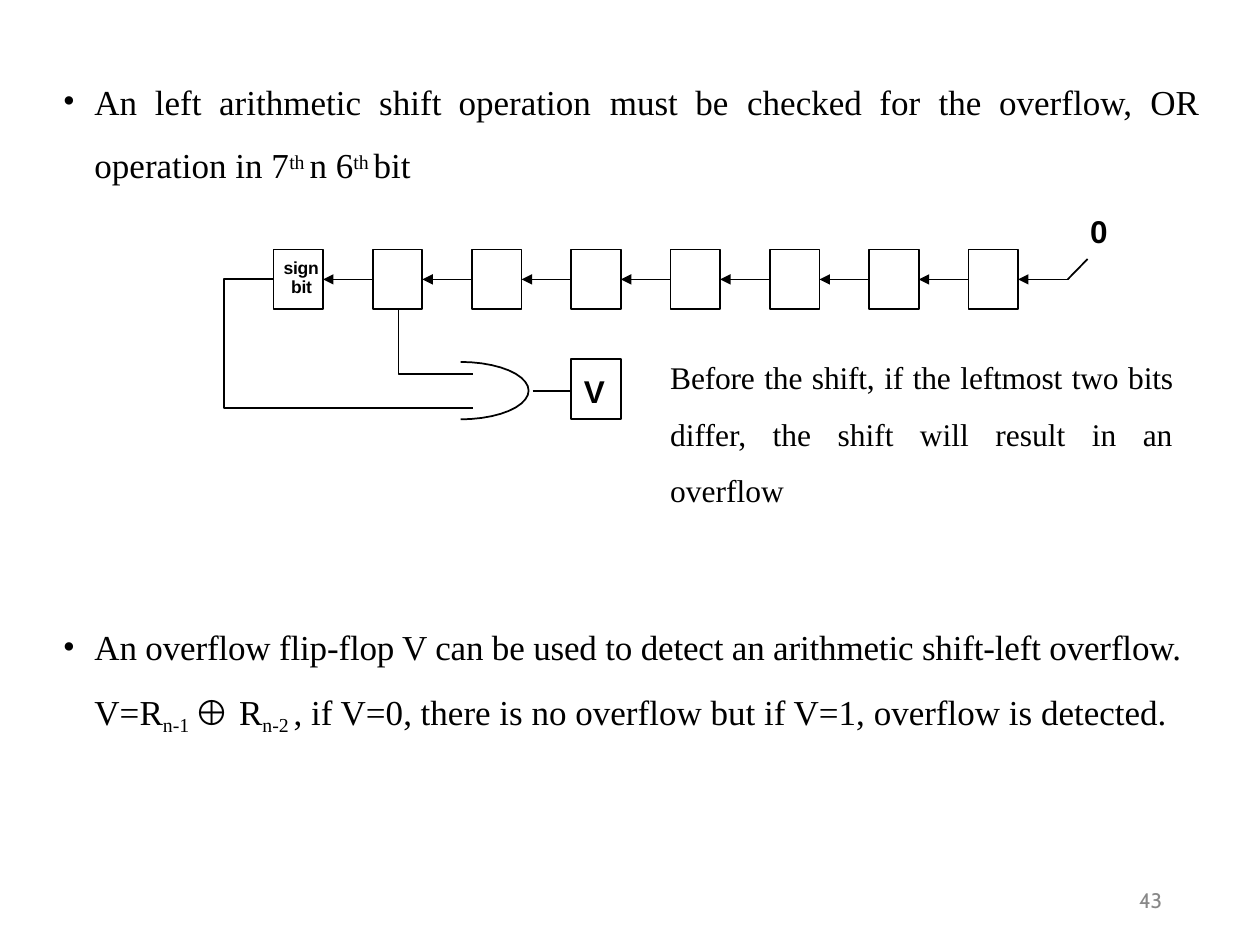
from math import cos, pi, sin

from lxml.etree import SubElement
from pptx import Presentation
from pptx.dml.color import RGBColor
from pptx.enum.shapes import MSO_CONNECTOR, MSO_SHAPE
from pptx.enum.text import MSO_ANCHOR, PP_ALIGN
from pptx.oxml.ns import qn
from pptx.util import Inches, Pt

BLACK = RGBColor(0x00, 0x00, 0x00)
GRAY = RGBColor(0x88, 0x88, 0x88)
SERIF, SANS, NUMBER_FONT = "Times New Roman", "Arial", "Cabin"
COL, ROW = 0.394, 0.475  # one register cell; cells start every second column
CELLS = 8
WORD_TABS = [0.79, 1.3, 2.57, 3.2, 4.4, 5.08, 5.49, 6.54, 7.01, 7.49, 8.69]


def set_frame(s, inset):
    tf = s.text_frame
    tf.word_wrap = True
    tf.vertical_anchor = MSO_ANCHOR.TOP
    tf.margin_left = tf.margin_right = tf.margin_bottom = 0
    tf.margin_top = Inches(inset)
    return tf


def add_text_box(slide, box, inset=0.01):
    return set_frame(slide.shapes.add_textbox(*map(Inches, box)), inset)


def add_run(p, text, size=20, font=SERIF, color=BLACK, bold=False, baseline=0, spacing=0):
    """Baseline is a percentage, spacing is in points."""
    r = p.add_run()
    r.text = text
    r.font.size = Pt(size)
    r.font.name = font
    r.font.bold = bold
    r.font.color.rgb = color
    if baseline:
        r.font._element.set("baseline", str(baseline * 1000))
    if spacing:
        r.font._element.set("spc", str(round(spacing * 100)))


def set_indent(p, left=0, first=0, right=0):
    pPr = p._p.get_or_add_pPr()
    for name, value in (("marL", left), ("marR", right), ("indent", first)):
        pPr.set(name, str(Inches(value)))
    return pPr


def make_bullet(p, left, tabs=()):
    pPr = set_indent(p, left, -0.25)
    SubElement(pPr, qn("a:buFont"), typeface=SERIF)
    SubElement(pPr, qn("a:buChar"), char="•")
    if tabs:
        tab_list = SubElement(pPr, qn("a:tabLst"))
        for pos in tabs:
            SubElement(tab_list, qn("a:tab"), pos=str(Inches(pos)), algn="l")
    p.line_spacing = 1.5


def style_line(s):
    s.line.color.rgb = BLACK
    s.line.width = Pt(1)


def add_overflow_check(slide, box):
    tf = add_text_box(slide, box)
    p = tf.paragraphs[0]
    make_bullet(p, 0.31, WORD_TABS)
    add_run(p, "An\tleft\tarithmetic\tshift\toperation\tmust\tbe\tchecked"
               "\tfor\tthe\toverflow,\tOR operation in 7")
    add_run(p, "th ", 19.5, baseline=26)
    add_run(p, "n 6")
    add_run(p, "th ", 19.5, baseline=26)
    add_run(p, "bit")
    p = tf.add_paragraph()
    p.alignment = PP_ALIGN.RIGHT
    p.space_before = Pt(15.1)
    set_indent(p, right=0.78)
    add_run(p, "0", 18, SANS, bold=True)


def add_flip_flop_rule(slide, box):
    p = add_text_box(slide, box).paragraphs[0]
    make_bullet(p, 0.29)
    add_run(p, "An overflow flip-flop V can be used to detect an arithmetic "
               "shift-left overflow.", spacing=-0.1)
    p.add_line_break()
    add_run(p, "V=R")
    add_run(p, "n-1 ", 19.5, baseline=-21)
    add_run(p, "⊕ ", font=SANS)
    add_run(p, "R")
    add_run(p, "n-2 ", 19.5, baseline=-21)
    add_run(p, ", if V=0, there is no overflow but if V=1, overflow is detected.")


def add_shift_diagram(slide, left, top):
    """Shift register, gate and V cell on a grid of COL by ROW."""
    def at(col, row):
        return Inches(left + col * COL), Inches(top + row * ROW)

    def add_cell(col, row):
        s = slide.shapes.add_shape(MSO_SHAPE.RECTANGLE, *at(col, row), Inches(COL), Inches(ROW))
        s.shadow.inherit = False
        s.fill.background()
        style_line(s)
        return s

    def add_wire(start, end, arrow=False):
        s = slide.shapes.add_connector(MSO_CONNECTOR.STRAIGHT, *at(*start), *at(*end))
        style_line(s)
        if arrow:
            SubElement(s.line._get_or_add_ln(), qn("a:tailEnd"), type="triangle")
        SubElement(s._element.spPr, qn("a:effectLst"))

    def add_path(points):
        first, *rest = [at(*point) for point in points]
        builder = slide.shapes.build_freeform(*first)
        builder.add_line_segments(rest, close=False)
        s = builder.convert_to_shape()
        s.shadow.inherit = False
        s.fill.background()
        style_line(s)

    cells = [add_cell(2 * i, 0) for i in range(CELLS)]
    for i in range(CELLS):
        add_wire((2 * i + 2, 0.5), (2 * i + 1, 0.5), arrow=True)
    add_wire((2 * CELLS, 0.5), (2 * CELLS + 0.4, 0.16))

    add_path([(0, 0.5), (-1, 0.5), (-1, 2.65), (4.03, 2.65)])
    add_path([(2.52, 1), (2.52, 2.08), (4.03, 2.08)])
    angles = [pi * (k / 20 - 0.5) for k in range(21)]
    add_path([(3.77 + 1.37 * cos(a), 2.36 + 0.48 * sin(a)) for a in angles])
    add_wire((5.22, 2.36), (6, 2.36))

    p = set_frame(cells[0], 0.08).paragraphs[0]
    p.alignment = PP_ALIGN.LEFT
    p.line_spacing = Pt(10.8)
    set_indent(p, 0.14, -0.06)
    add_run(p, "sign bit", 10, SANS, bold=True, spacing=-0.1)

    p = set_frame(add_cell(6, 1.83), 0.1).paragraphs[0]
    p.alignment = PP_ALIGN.LEFT
    set_indent(p, 0.1)
    add_run(p, "V", 18, SANS, bold=True)


def add_shift_note(slide, box):
    p = add_text_box(slide, box).paragraphs[0]
    p.alignment = PP_ALIGN.JUSTIFY
    p.line_spacing = 1.5
    set_indent(p, 0.01)
    add_run(p, "Before the shift, if the leftmost two bits ", 18, spacing=-0.1)
    add_run(p, "differ, the shift will result in an overflow", 18)


def add_slide_number(slide, box):
    p = add_text_box(slide, box, inset=0).paragraphs[0]
    p.line_spacing = Pt(12.4)
    set_indent(p, 0.04)
    add_run(p, "43", 12, NUMBER_FONT, GRAY)


def main():
    prs = Presentation()
    prs.slide_width, prs.slide_height = Inches(10), Inches(7.5)
    slide = prs.slides.add_slide(prs.slide_layouts[6])
    add_flip_flop_rule(slide, (0.46, 4.79, 9.1, 0.96))
    add_overflow_check(slide, (0.44, 0.46, 9.13, 1.54))
    add_shift_diagram(slide, 2.17, 1.98)
    add_slide_number(slide, (9, 7.07, 0.25, 0.2))
    add_shift_note(slide, (5.31, 2.68, 4, 1.38))
    prs.save("out.pptx")


if __name__ == "__main__":
    main()
